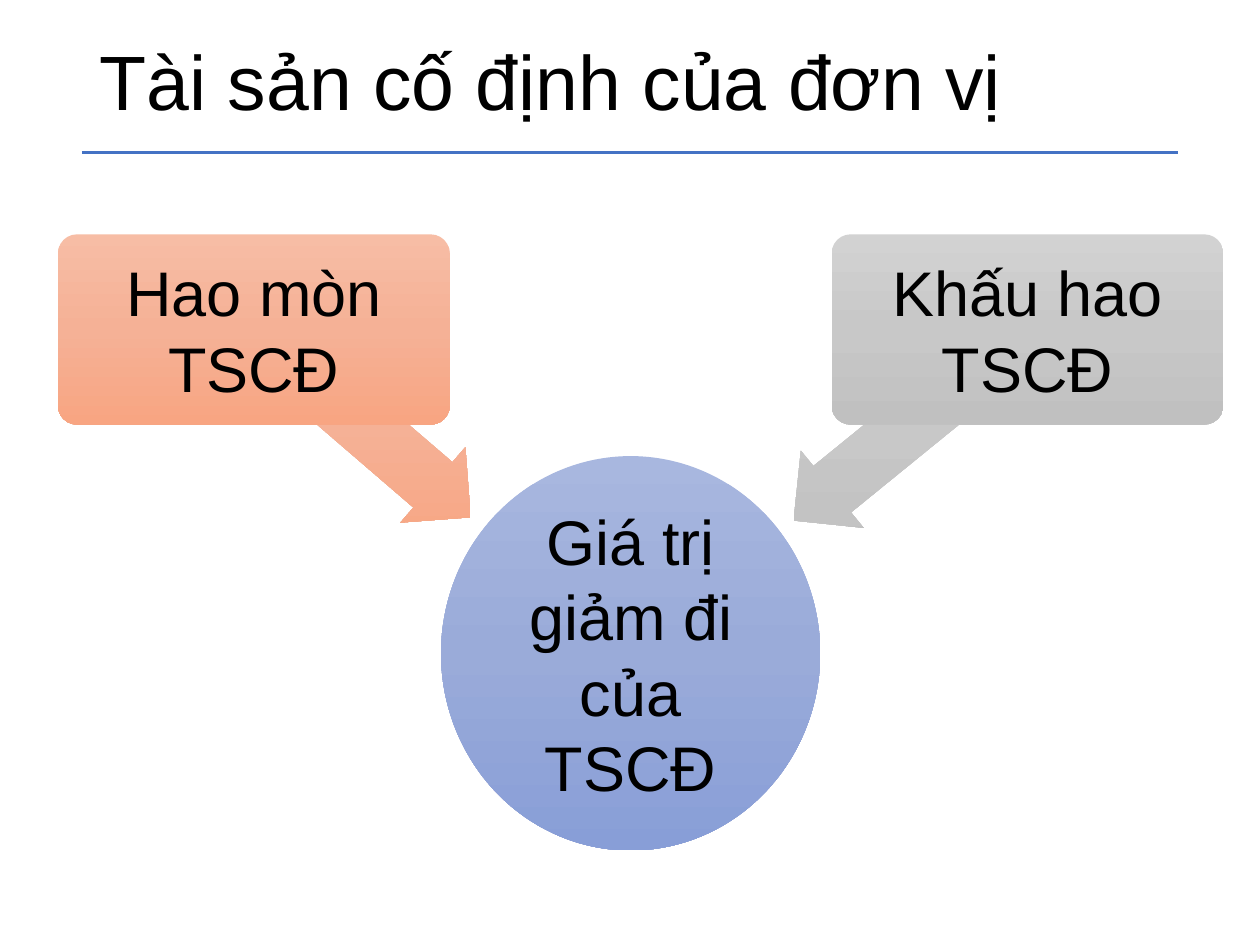
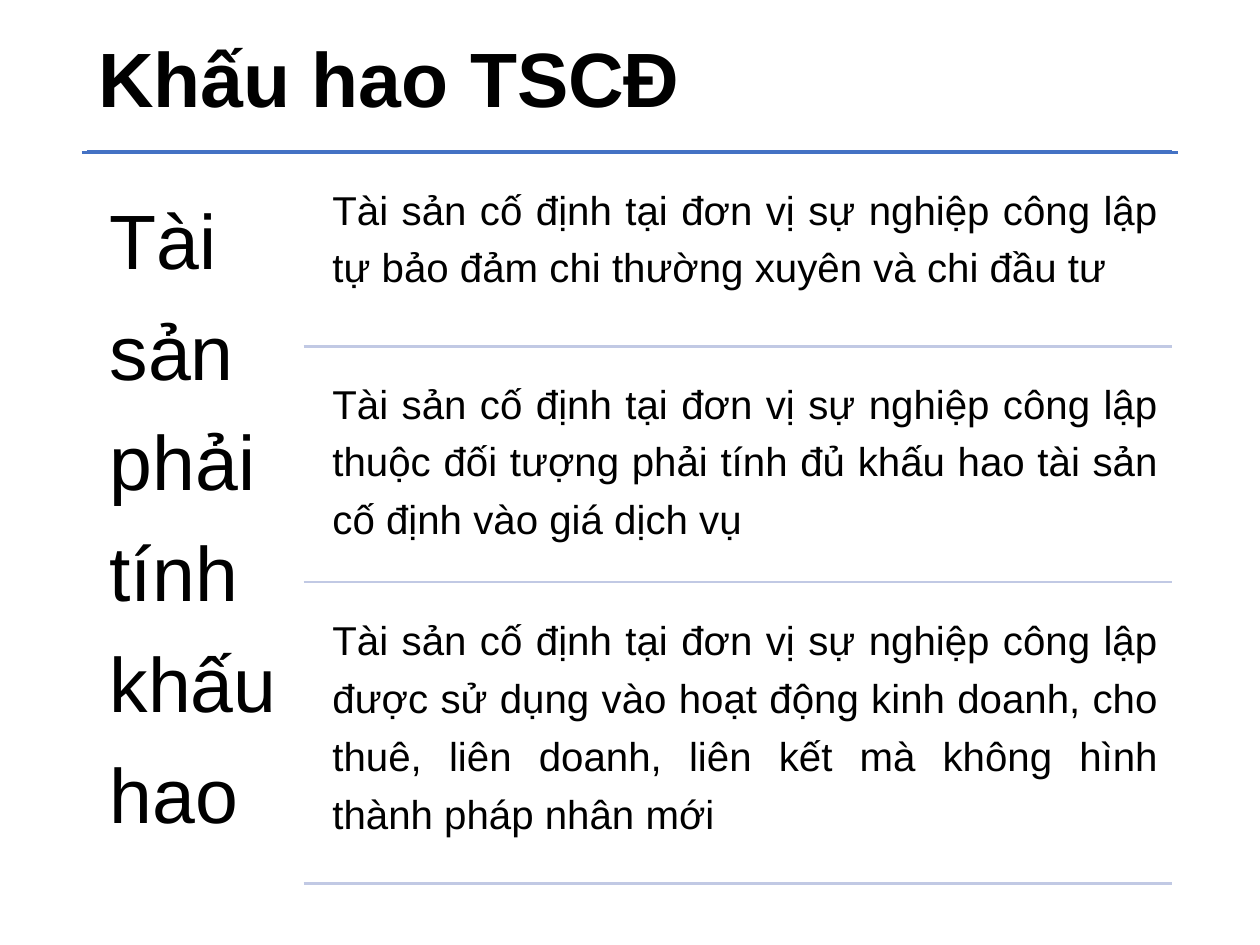
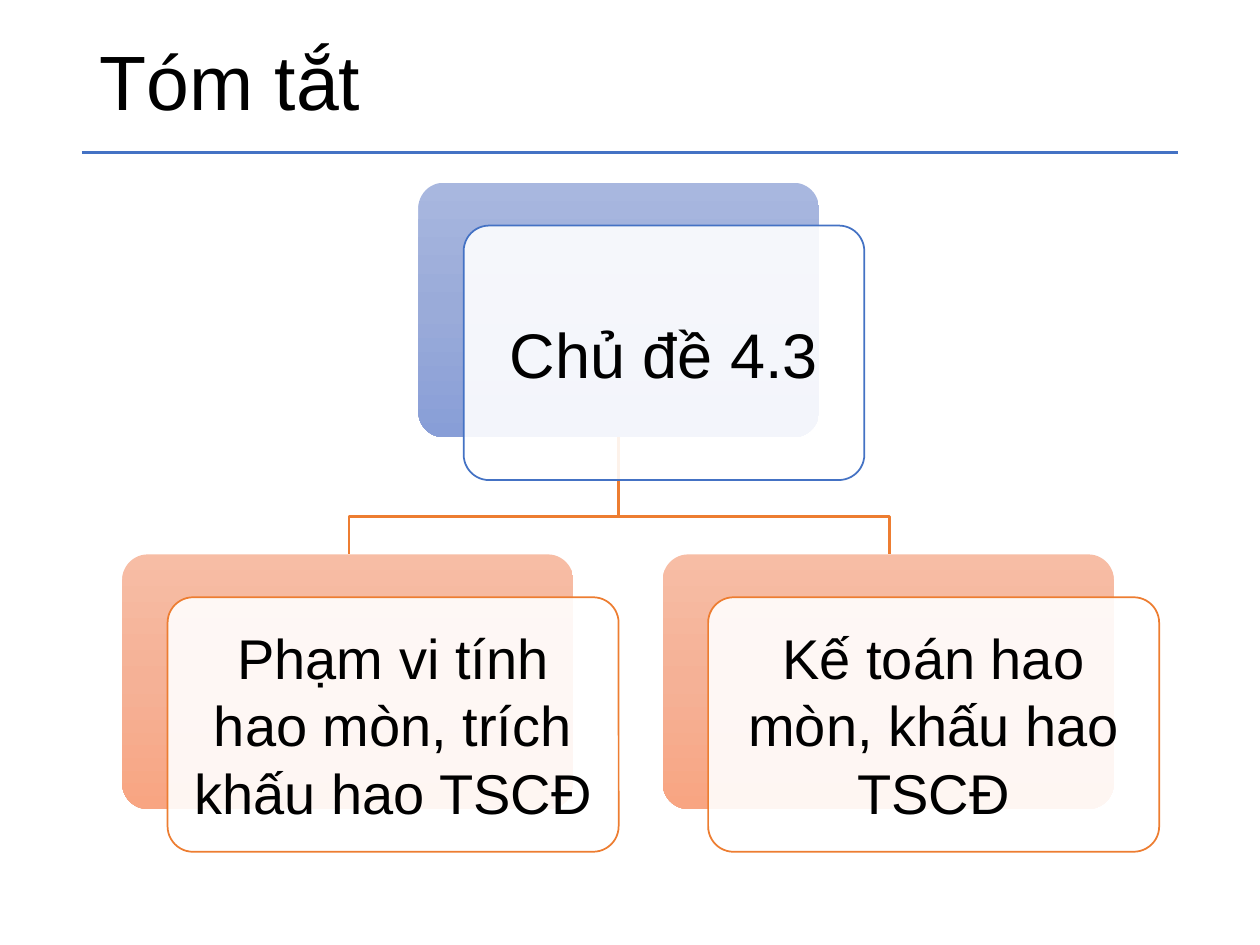
import copy

import pptx
import pptx.dml.color
import pptx.enum.shapes
import pptx.enum.text
import pptx.oxml.ns
import pptx.oxml.xmlchemy
import pptx.util
from pptx.util import Inches

RGBColor = pptx.dml.color.RGBColor
SHAPE = pptx.enum.shapes.MSO_SHAPE
ALIGN = pptx.enum.text.PP_ALIGN
ANCHOR = pptx.enum.text.MSO_ANCHOR
qn = pptx.oxml.ns.qn

BLACK = RGBColor(0x00, 0x00, 0x00)
WHITE = RGBColor(0xFF, 0xFF, 0xFF)
BLUE = RGBColor(0x44, 0x72, 0xC4)
ORANGE = RGBColor(0xED, 0x7D, 0x31)
PALE_BLUE = RGBColor(0xC1, 0xC9, 0xE4)
BLUE_FADE = (RGBColor(0xA8, 0xB7, 0xDF), RGBColor(0x9A, 0xAB, 0xD9), RGBColor(0x88, 0x9E, 0xD7))
ORANGE_FADE = (RGBColor(0xF7, 0xBD, 0xA5), RGBColor(0xF5, 0xB1, 0x96), RGBColor(0xF8, 0xA5, 0x82))
GREY_FADE = (RGBColor(0xD2, 0xD2, 0xD2), RGBColor(0xC8, 0xC8, 0xC8), RGBColor(0xC0, 0xC0, 0xC0))


def write(frame, text, size, margin, anchor=ANCHOR.MIDDLE, align=ALIGN.CENTER, spacing=1.0, bold=False):
    frame_format = {
        "word_wrap": True,
        "auto_size": pptx.enum.text.MSO_AUTO_SIZE.NONE,
        "vertical_anchor": anchor,
        "margin_left": Inches(margin),
        "margin_right": Inches(margin),
        "margin_top": Inches(min(margin, 0.05) if anchor == ANCHOR.MIDDLE else margin),
        "margin_bottom": Inches(min(margin, 0.05) if anchor == ANCHOR.MIDDLE else margin),
    }
    for name, value in frame_format.items():
        setattr(frame, name, value)
    frame.text = text
    paragraph = frame.paragraphs[0]
    paragraph.alignment = align
    paragraph.line_spacing = spacing
    for name, value in {"name": "Arial", "size": pptx.util.Pt(size), "bold": bold}.items():
        setattr(paragraph.font, name, value)
    paragraph.font.color.rgb = BLACK


def add_panel(slide, preset, box, fade=None, outline=None, adjustments=(0.1,)):
    """Add a shape filled with a vertical fade, or else with nearly opaque white."""
    panel = slide.shapes.add_shape(preset, *map(Inches, box))
    panel.shadow.inherit = False
    for index, value in enumerate(adjustments):
        panel.adjustments[index] = value
    if fade:
        panel.fill.gradient()
        panel.fill.gradient_angle = 270
        stop_list = panel.element.spPr.find(".//" + qn("a:gsLst"))
        stop_list.getparent().set("rotWithShape", "0")
        stop_list.insert(1, copy.deepcopy(stop_list[0]))
        for stop, position, color in zip(panel.fill.gradient_stops, (0, 0.5, 1), fade):
            stop.position = position
            stop.color.rgb = color
    else:
        panel.fill.solid()
        panel.fill.fore_color.rgb = WHITE
        tint = panel.element.spPr.find(qn("a:solidFill"))[0]
        tint.makeelement(qn("a:alpha"), {"val": "90000"})
        tint.append(tint.makeelement(qn("a:alpha"), {"val": "90000"}))
    if outline:
        panel.line.color.rgb = outline
        panel.line.width = pptx.util.Pt(1)
    else:
        panel.line.fill.background()
    return panel


deck = pptx.Presentation()
deck.slide_width = Inches(10)
deck.slide_height = Inches(7.5)
title_only = deck.slide_layouts[5]

# Titles
TITLE_BOX = (0.69, 0.15, 8.62, 1.06)
slides = []
for heading, box, bold in (
    ("Tài sản cố định của đơn vị", TITLE_BOX, False),
    ("Khấu hao TSCĐ", (0.68, 0.11, 8.62, 1.09), True),
    ("Tóm tắt", TITLE_BOX, False),
):
    slide = deck.slides.add_slide(title_only)
    title = slide.shapes.title
    for side, length in zip(("left", "top", "width", "height"), box):
        setattr(title, side, Inches(length))
    write(title.text_frame, heading, 44, 0.1, align=ALIGN.LEFT, spacing=0.9, bold=bold)
    slides.append(slide)
assets, depreciation, summary = slides

# Rules: the first one belongs to the master, the others divide the second slide
rules = []
for left, right, top, color in (
    (0.65, 9.35, 1.21, BLUE),
    (0.69, 9.3, 1.2, BLUE),
    (2.41, 9.3, 2.75, PALE_BLUE),
    (2.41, 9.3, 4.62, PALE_BLUE),
    (2.41, 9.3, 7.01, PALE_BLUE),
):
    rule = depreciation.shapes.add_connector(
        pptx.enum.shapes.MSO_CONNECTOR.STRAIGHT, Inches(left), Inches(top), Inches(right), Inches(top))
    rule.line.color.rgb = color
    rule.line.width = pptx.util.Pt(1.5)
    properties = rule.element.spPr
    properties.append(properties.makeelement(qn("a:effectLst"), {}))
    rules.append(rule)
deck.slide_master.shapes.element.append(rules[0].element)

# Slide 1: two causes of the fall in value
value_loss = add_panel(assets, SHAPE.OVAL, (3.5, 3.62, 3.01, 3.13), BLUE_FADE, adjustments=())
write(value_loss.text_frame, "Giá trị giảm đi của TSCĐ", 36, 0.03)
for cause, left, arrow_box, angle, fade in (
    ("Hao mòn TSCĐ", 0.46, (1.74, 2.97, 2.27, 0.79), 220.7, ORANGE_FADE),
    ("Khấu hao TSCĐ", 6.6, (6.03, 2.98, 2.4, 0.79), 320.9, GREY_FADE),
):
    arrow = add_panel(assets, SHAPE.LEFT_ARROW, arrow_box, fade, adjustments=(0.6, 0.5))
    arrow.rotation = angle
    cause_panel = add_panel(assets, SHAPE.ROUNDED_RECTANGLE, (left, 1.86, 3.11, 1.51), fade)
    write(cause_panel.text_frame, cause, 36, 0.07)

# Slide 2: assets that must be depreciated
for text, box, size, margin, align in (
    ("Tài sản phải tính khấu hao", (0.69, 1.2, 1.72, 5.9), 44, 0.18, ALIGN.LEFT),
    ("Tài sản cố định tại đơn vị sự nghiệp công lập tự bảo đảm chi thường xuyên và chi đầu tư",
     (2.54, 1.29, 6.76, 1.45), 23, 0.1, ALIGN.JUSTIFY),
    ("Tài sản cố định tại đơn vị sự nghiệp công lập thuộc đối tượng phải tính đủ khấu hao "
     "tài sản cố định vào giá dịch vụ",
     (2.54, 2.83, 6.76, 1.79), 23, 0.1, ALIGN.JUSTIFY),
    ("Tài sản cố định tại đơn vị sự nghiệp công lập được sử dụng vào hoạt động kinh doanh, "
     "cho thuê, liên doanh, liên kết mà không hình thành pháp nhân mới",
     (2.54, 4.71, 6.76, 2.3), 23, 0.1, ALIGN.JUSTIFY),
):
    passage = depreciation.shapes.add_textbox(*map(Inches, box))
    write(passage.text_frame, text, size, margin, ANCHOR.TOP, align, 1.2)

# Slide 3: topic tree
for branch_x in (7.06, 2.77):
    outline = assets_path = summary.shapes.build_freeform(Inches(4.91), Inches(3.47))
    outline.add_line_segments(
        [(Inches(x), Inches(y)) for x, y in ((4.91, 4.1), (branch_x, 4.1), (branch_x, 4.4))], close=False)
    branch = outline.convert_to_shape()
    branch.shadow.inherit = False
    branch.fill.background()
    branch.line.color.rgb = ORANGE
    branch.line.width = pptx.util.Pt(1.5)

for topic, left, top, width, size, margin, fade, color in (
    ("Chủ đề 4.3", 3.32, 1.45, 3.18, 36, 0.15, BLUE_FADE, BLUE),
    ("Phạm vi tính hao mòn, trích khấu hao TSCĐ", 0.97, 4.4, 3.58, 32, 0.13, ORANGE_FADE, ORANGE),
    ("Kế toán hao mòn, khấu hao TSCĐ", 5.26, 4.4, 3.58, 32, 0.13, ORANGE_FADE, ORANGE),
):
    add_panel(summary, SHAPE.ROUNDED_RECTANGLE, (left, top, width, 2.02), fade)
    card = add_panel(summary, SHAPE.ROUNDED_RECTANGLE, (left + 0.36, top + 0.34, width, 2.02), outline=color)
    write(card.text_frame, topic, size, margin)

deck.save("out.pptx")
